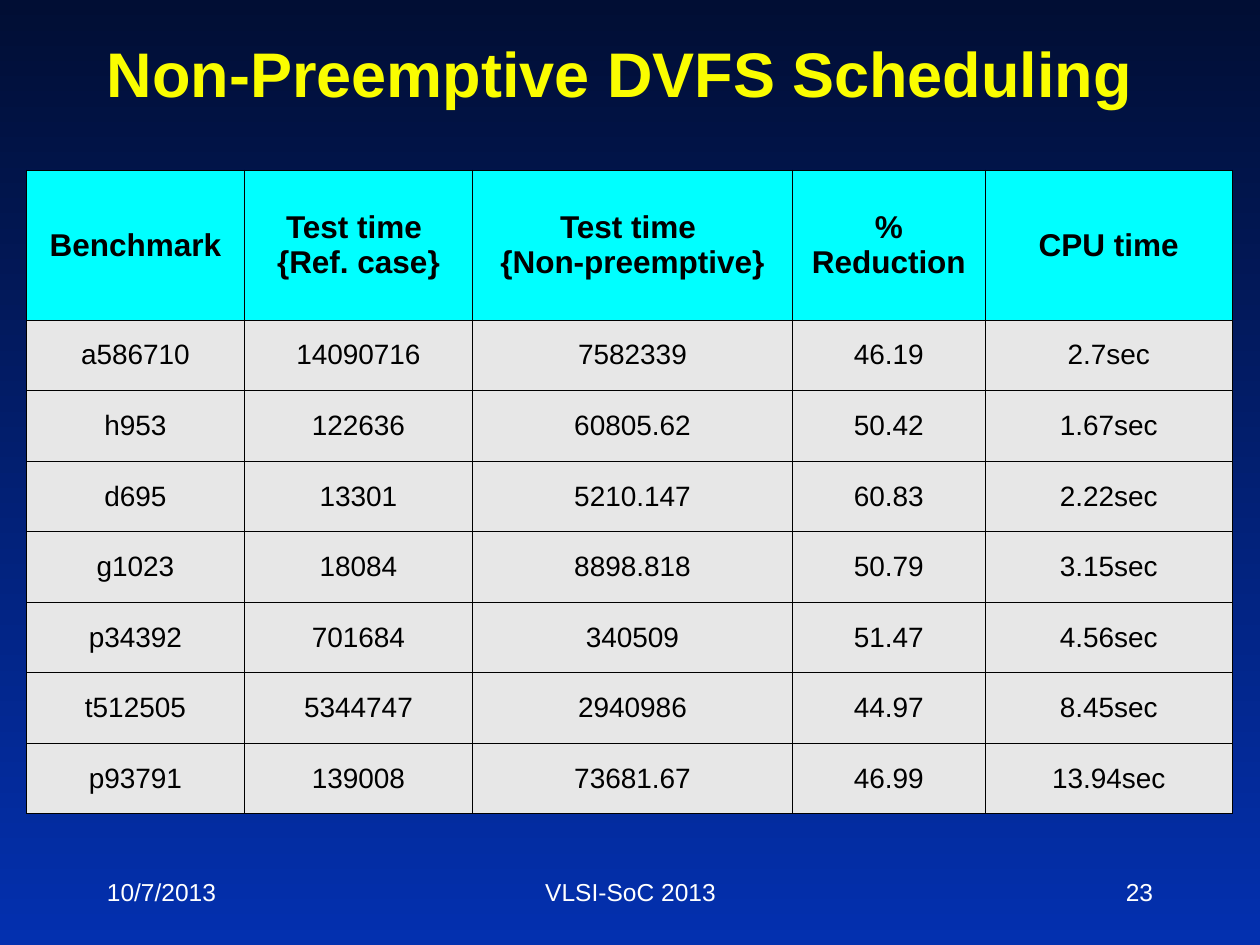
from dataclasses import dataclass

from lxml.etree import SubElement
from pptx import Presentation
from pptx.dml.color import RGBColor
from pptx.enum.text import MSO_ANCHOR, PP_ALIGN
from pptx.oxml.ns import qn
from pptx.util import Inches, Pt

NAVY = RGBColor(0x01, 0x0E, 0x34)
BLUE = RGBColor(0x03, 0x30, 0xAF)
YELLOW = RGBColor(0xFA, 0xFD, 0x00)
WHITE = RGBColor(0xFF, 0xFF, 0xFF)
BLACK = RGBColor(0x00, 0x00, 0x00)
CYAN = RGBColor(0x00, 0xFF, 0xFF)
LIGHT_GREY = RGBColor(0xE7, 0xE7, 0xE7)


@dataclass
class TextStyle:
    size: int
    color: RGBColor
    bold: bool = False


@dataclass
class Label:
    text: str
    left: float
    top: float
    width: float
    height: float
    style: TextStyle
    alignment: PP_ALIGN = PP_ALIGN.LEFT
    anchor: MSO_ANCHOR = MSO_ANCHOR.MIDDLE


TITLE_STYLE = TextStyle(36, YELLOW, bold=True)
FOOTER_STYLE = TextStyle(14, WHITE)
HEADER_STYLE = TextStyle(18, BLACK, bold=True)
BODY_STYLE = TextStyle(16, BLACK)

LABELS = [
    Label("Non-Preemptive DVFS Scheduling", 0.75, 0.25, 8.5, 0.67, TITLE_STYLE,
          anchor=MSO_ANCHOR.BOTTOM),
    Label("10/7/2013", 0.75, 6.83, 2.08, 0.5, FOOTER_STYLE),
    Label("VLSI-SoC 2013", 3.42, 6.83, 3.17, 0.5, FOOTER_STYLE, PP_ALIGN.CENTER),
    Label("23", 7.17, 6.83, 2.08, 0.5, FOOTER_STYLE, PP_ALIGN.RIGHT),
]

COLUMN_WIDTHS = [1.73, 1.81, 2.54, 1.53, 1.96]
HEADER_HEIGHT = 1.19
BODY_HEIGHT = 0.56
BORDER_WIDTH = Pt(0.45)
RESULTS = [
    ["Benchmark", "Test time \n{Ref. case}", "Test time \n{Non-preemptive}",
     "% Reduction", "CPU time"],
    ["a586710", "14090716", "7582339", "46.19", "2.7sec"],
    ["h953", "122636", "60805.62", "50.42", "1.67sec"],
    ["d695", "13301", "5210.147", "60.83", "2.22sec"],
    ["g1023", "18084", "8898.818", "50.79", "3.15sec"],
    ["p34392", "701684", "340509", "51.47", "4.56sec"],
    ["t512505", "5344747", "2940986", "44.97", "8.45sec"],
    ["p93791", "139008", "73681.67", "46.99", "13.94sec"],
]


def paint_background(page) -> None:
    fill = page.background.fill
    fill.gradient()
    fill.gradient_angle = 270
    for stop, color in zip(fill.gradient_stops, (NAVY, BLUE)):
        stop.color.rgb = color


def write_text(frame, text: str, style: TextStyle, alignment: PP_ALIGN) -> None:
    frame.text = text
    font_values = {"name": "Arial", "size": Pt(style.size), "bold": style.bold}
    for para in frame.paragraphs:
        para.alignment = alignment
        for span in para.runs:
            for name, value in font_values.items():
                setattr(span.font, name, value)
            span.font.color.rgb = style.color


def add_label(page, label: Label) -> None:
    box = page.shapes.add_textbox(Inches(label.left), Inches(label.top),
                                  Inches(label.width), Inches(label.height))
    frame = box.text_frame
    frame.word_wrap = True
    frame.vertical_anchor = label.anchor
    write_text(frame, label.text, label.style, label.alignment)


def add_borders(cell) -> None:
    """Draw all four cell edges; call before the fill, which must follow them."""
    properties = cell._tc.get_or_add_tcPr()
    for edge in ("lnL", "lnR", "lnT", "lnB"):
        line = SubElement(properties, qn(f"a:{edge}"), w=str(BORDER_WIDTH))
        solid = SubElement(line, qn("a:solidFill"))
        SubElement(solid, qn("a:srgbClr"), val=str(BLACK))


def add_results_table(page) -> None:
    heights = [HEADER_HEIGHT] + [BODY_HEIGHT] * (len(RESULTS) - 1)
    table = page.shapes.add_table(
        len(RESULTS), len(COLUMN_WIDTHS), Inches(0.21), Inches(1.35),
        Inches(sum(COLUMN_WIDTHS)), Inches(sum(heights))).table
    table.horz_banding = False
    for column, width in zip(table.columns, COLUMN_WIDTHS):
        column.width = Inches(width)
    for index, (row, height, texts) in enumerate(zip(table.rows, heights, RESULTS)):
        row.height = Inches(height)
        style, color = (BODY_STYLE, LIGHT_GREY) if index else (HEADER_STYLE, CYAN)
        for cell, text in zip(row.cells, texts):
            add_borders(cell)
            cell.fill.solid()
            cell.fill.fore_color.rgb = color
            cell.vertical_anchor = MSO_ANCHOR.MIDDLE
            write_text(cell.text_frame, text, style, PP_ALIGN.CENTER)


def main() -> None:
    deck = Presentation()
    deck.slide_width = Inches(10)
    deck.slide_height = Inches(7.5)
    page = deck.slides.add_slide(deck.slide_layouts[6])
    paint_background(page)
    for label in LABELS:
        add_label(page, label)
    add_results_table(page)
    deck.save("out.pptx")


if __name__ == "__main__":
    main()
